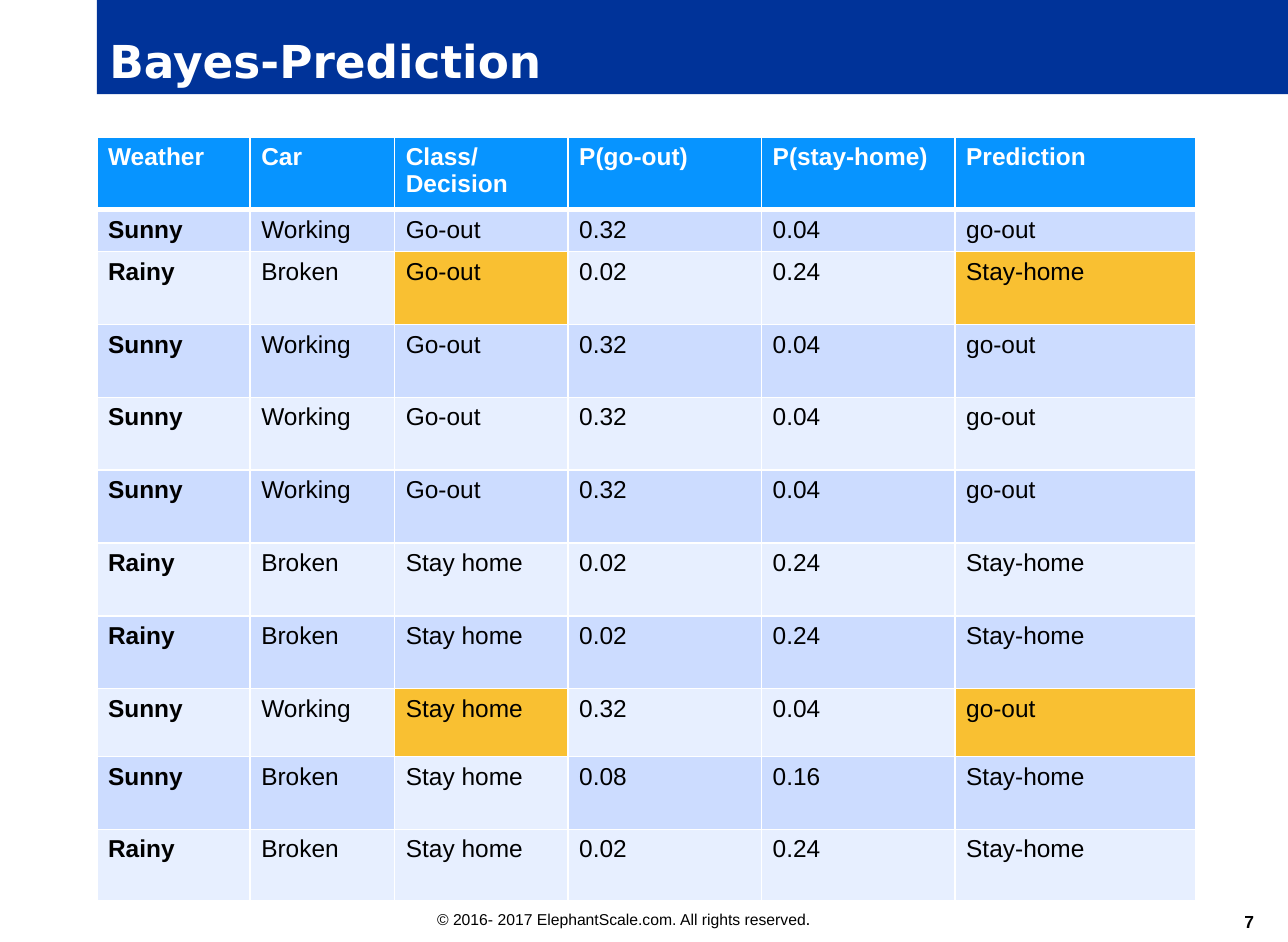
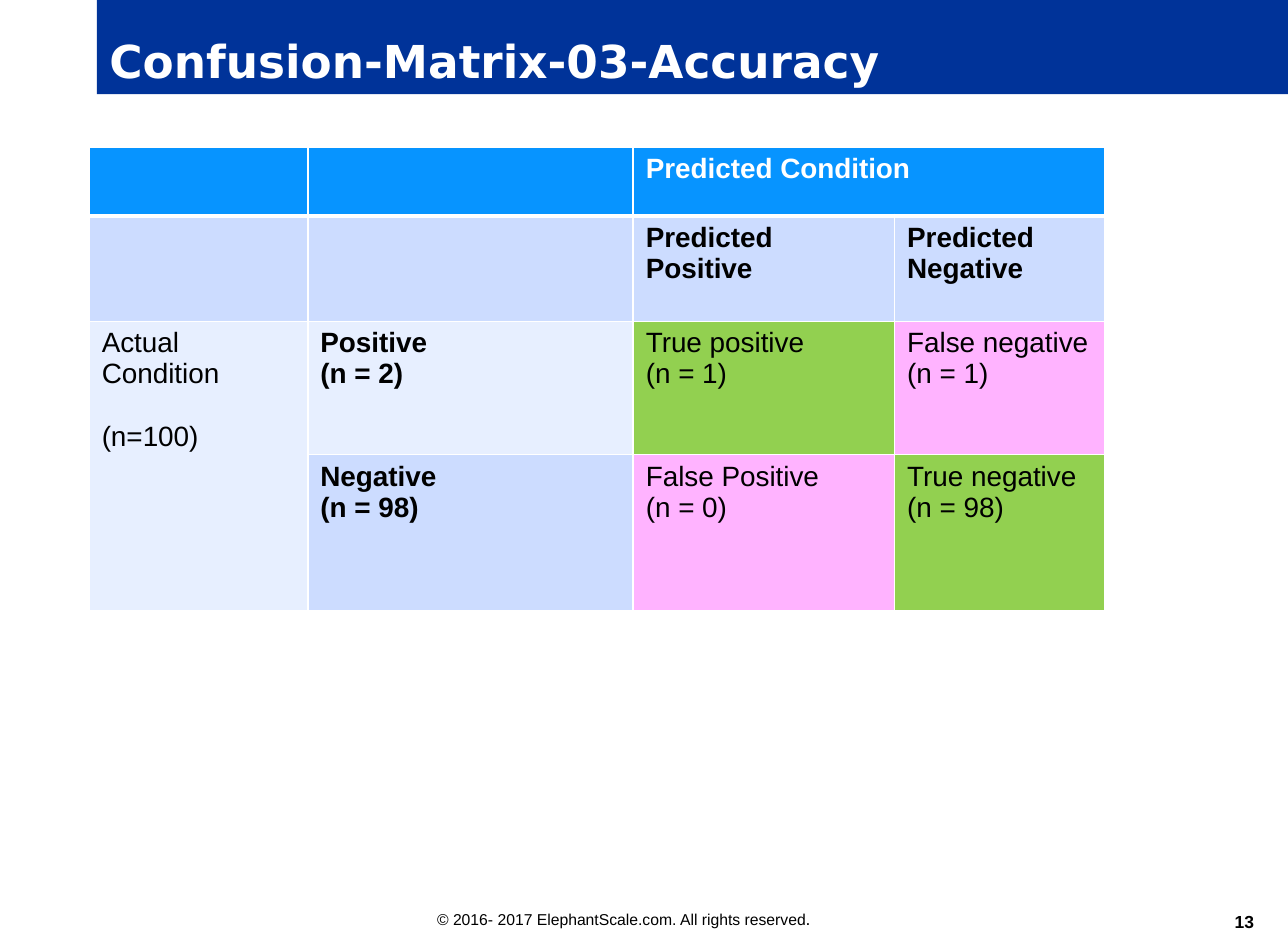
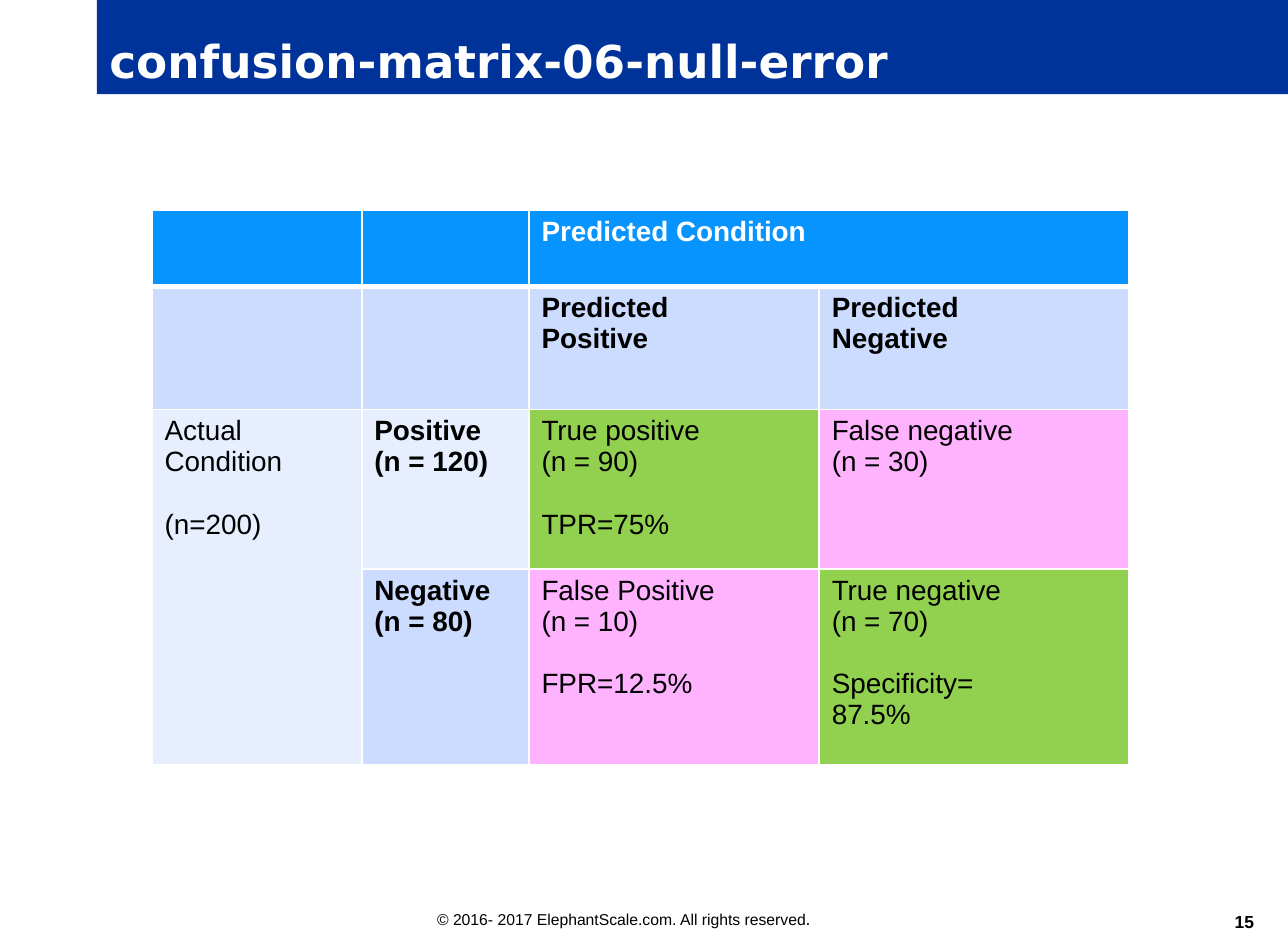
from dataclasses import dataclass, field

from lxml import etree
from pptx import Presentation
from pptx.dml.color import RGBColor
from pptx.enum.text import MSO_ANCHOR, MSO_AUTO_SIZE, PP_ALIGN
from pptx.oxml.ns import qn
from pptx.util import Inches, Pt

LEFT, RIGHT = PP_ALIGN.LEFT, PP_ALIGN.RIGHT
TOP, BOTTOM = MSO_ANCHOR.TOP, MSO_ANCHOR.BOTTOM
NO_AUTOFIT = MSO_AUTO_SIZE.NONE
TITLE_ONLY = 5

COLORS = {
    "title_band": "003399",
    "header": "0794FF",
    "dark_band": "CCDCFF",
    "light_band": "E7EFFF",
    "mismatch": "F9C032",
    "correct": "92D050",
    "wrong": "FFB3FF",
    "white": "FFFFFF",
    "black": "000000",
}
TITLE_FONT, BODY_FONT = "DejaVu Sans", "Arial"
THIN, THICK = 0.96, 3
GAP = Pt(18)
FOOTER = "© 2016- 2017 ElephantScale.com. All rights reserved"


@dataclass
class Cell:
    text: str
    fill: str
    bold: bool = False


@dataclass
class Grid:
    left: float
    top: float
    cols: list[float]
    rows: list[float]
    cells: list[list[Cell]]
    size: int
    inset: float = 0.1
    merges: list[tuple[int, int, int, int]] = field(default_factory=list)


@dataclass
class Page:
    title: str
    number: int
    grid: Grid


def color(name: str) -> RGBColor:
    return RGBColor.from_string(COLORS[name])


def set_font(p, name: str, size: float, ink: str, bold: bool = False) -> None:
    p.font.name = name
    p.font.size = Pt(size)
    p.font.bold = bold
    p.font.color.rgb = color(ink)


def add_title(slide, text: str) -> None:
    sp = slide.shapes.title
    sp.left, sp.top, sp.width, sp.height = map(Inches, (0.77, 0, 9.48, 0.75))
    sp.fill.solid()
    sp.fill.fore_color.rgb = color("title_band")
    tf = sp.text_frame
    tf.text = text
    tf.word_wrap = True
    tf.auto_size = NO_AUTOFIT
    tf.vertical_anchor = BOTTOM
    p = tf.paragraphs[0]
    p.alignment = LEFT
    set_font(p, TITLE_FONT, 26, "white", True)


def add_footer(slide, number: int) -> None:
    sp = slide.shapes.add_textbox(*map(Inches, (3.38, 7.18, 4.65, 0.26)))
    sp.text_frame.word_wrap = True
    p = sp.text_frame.paragraphs[0]
    set_font(p, BODY_FONT, 9, "black")
    p.add_run().text = FOOTER
    r = p.add_run()
    r.text = "."
    r.font.size = Pt(10)

    sp = slide.shapes.add_textbox(*map(Inches, (9.38, 7.17, 0.6, 0.25)))
    tf = sp.text_frame
    tf.word_wrap = True
    tf.vertical_anchor = BOTTOM
    tf.margin_left = tf.margin_right = tf.margin_top = tf.margin_bottom = 0
    p = tf.paragraphs[0]
    p.text = str(number)
    p.alignment = RIGHT
    set_font(p, BODY_FONT, 10, "black", True)


def set_borders(cell, top: float, bottom: float) -> None:
    tcPr = cell._tc.get_or_add_tcPr()
    widths = {"a:lnL": THIN, "a:lnR": THIN, "a:lnT": top, "a:lnB": bottom}
    for i, (tag, width) in enumerate(widths.items()):
        ln = etree.Element(qn(tag), w=str(int(Pt(width))))
        solid = etree.SubElement(ln, qn("a:solidFill"))
        etree.SubElement(solid, qn("a:srgbClr"), val=COLORS["white"])
        tcPr.insert(i, ln)


def write_cell(cell, content: Cell, size: int) -> None:
    ink = "white" if content.fill == "header" else "black"
    tf = cell.text_frame
    for i, block in enumerate(content.text.split("\n\n")):
        for j, line in enumerate(block.split("\n")):
            p = tf.add_paragraph() if i or j else tf.paragraphs[0]
            p.text = line
            if i and not j:
                p.space_before = GAP
            set_font(p, BODY_FONT, size, ink, content.bold)


def add_grid(slide, grid: Grid) -> None:
    frame = slide.shapes.add_table(
        len(grid.rows), len(grid.cols), Inches(grid.left), Inches(grid.top),
        Inches(sum(grid.cols)), Inches(sum(grid.rows)))
    table = frame.table
    table.first_row = table.horz_banding = False
    for col, width in zip(table.columns, grid.cols):
        col.width = Inches(width)
    for row, height in zip(table.rows, grid.rows):
        row.height = Inches(height)
    for r, contents in enumerate(grid.cells):
        for c, content in enumerate(contents):
            cell = table.cell(r, c)
            cell.margin_left = cell.margin_right = Inches(grid.inset)
            cell.vertical_anchor = TOP
            cell.fill.solid()
            cell.fill.fore_color.rgb = color(content.fill)
            set_borders(cell, THICK if r == 1 else THIN, THICK if r == 0 else THIN)
            write_cell(cell, content, grid.size)
    for r1, c1, r2, c2 in grid.merges:
        table.cell(r1, c1).merge(table.cell(r2, c2))


def prediction_grid() -> Grid:
    header = ["Weather", "Car", "Class/\nDecision", "P(go-out)", "P(stay-home)", "Prediction"]
    sunny = ["Sunny", "Working", "Go-out", "0.32", "0.04", "go-out"]
    rainy = ["Rainy", "Broken", "Stay home", "0.02", "0.24", "Stay-home"]
    records = [
        sunny,
        ["Rainy", "Broken", "Go-out", "0.02", "0.24", "Stay-home"],
        sunny, sunny, sunny,
        rainy, rainy,
        ["Sunny", "Working", "Stay home", "0.32", "0.04", "go-out"],
        ["Sunny", "Broken", "Stay home", "0.08", "0.16", "Stay-home"],
        rainy,
    ]
    cells = [[Cell(text, "header", True) for text in header]]
    for i, record in enumerate(records):
        band = "light_band" if i % 2 else "dark_band"
        cells.append([Cell(text, band, c == 0) for c, text in enumerate(record)])
        decision, prediction = cells[-1][2], cells[-1][5]
        if decision.text.lower().replace(" ", "-") != prediction.text.lower():
            decision.fill = prediction.fill = "mismatch"
    cells[9][2].fill = "light_band"
    return Grid(0.77, 1.09, [1.22, 1.15, 1.38, 1.54, 1.54, 1.92],
                [0.58, 0.33] + [0.58] * 6 + [0.54, 0.58, 0.57], cells, 14, 0.09)


def confusion_grid(left: float, top: float, cols: list[float], rows: list[float],
                   total: int, positive: int, negative: int,
                   outcomes: list[str]) -> Grid:
    tp, fn, fp, tn = outcomes
    cells = [
        [Cell("", "header"), Cell("", "header"),
         Cell("Predicted Condition", "header", True), Cell("", "header")],
        [Cell("", "dark_band"), Cell("", "dark_band"),
         Cell("Predicted\nPositive", "dark_band", True),
         Cell("Predicted\nNegative", "dark_band", True)],
        [Cell(f"Actual\nCondition\n\n(n={total})", "light_band"),
         Cell(f"Positive\n(n = {positive})", "light_band", True),
         Cell(f"True positive\n{tp}", "correct"),
         Cell(f"False negative\n{fn}", "wrong")],
        [Cell("", "light_band"),
         Cell(f"Negative\n(n = {negative})", "dark_band", True),
         Cell(f"False Positive\n{fp}", "wrong"),
         Cell(f"True negative\n{tn}", "correct")],
    ]
    return Grid(left, top, cols, rows, cells, 16,
                merges=[(0, 2, 0, 3), (2, 0, 3, 0)])


def main() -> None:
    prs = Presentation()
    prs.slide_width, prs.slide_height = Inches(10.25), Inches(7.5)
    pages = [
        Page("Bayes-Prediction", 7, prediction_grid()),
        Page("Confusion-Matrix-03-Accuracy", 13, confusion_grid(
            0.71, 1.17, [1.74, 2.59, 2.08, 1.67], [0.55, 0.84, 1.06, 1.24],
            100, 2, 98, ["(n = 1)", "(n = 1)", "(n = 0)", "(n = 98)"])),
        Page("confusion-matrix-06-null-error", 15, confusion_grid(
            1.21, 1.67, [1.67, 1.33, 2.31, 2.46], [0.61, 0.98, 1.27, 1.56],
            200, 120, 80, ["(n = 90)\n\nTPR=75%", "(n = 30)",
                           "(n = 10)\n\nFPR=12.5%",
                           "(n = 70)\n\nSpecificity=\n87.5%"])),
    ]
    for page in pages:
        slide = prs.slides.add_slide(prs.slide_layouts[TITLE_ONLY])
        add_title(slide, page.title)
        add_footer(slide, page.number)
        add_grid(slide, page.grid)
    prs.save("out.pptx")


if __name__ == "__main__":
    main()
